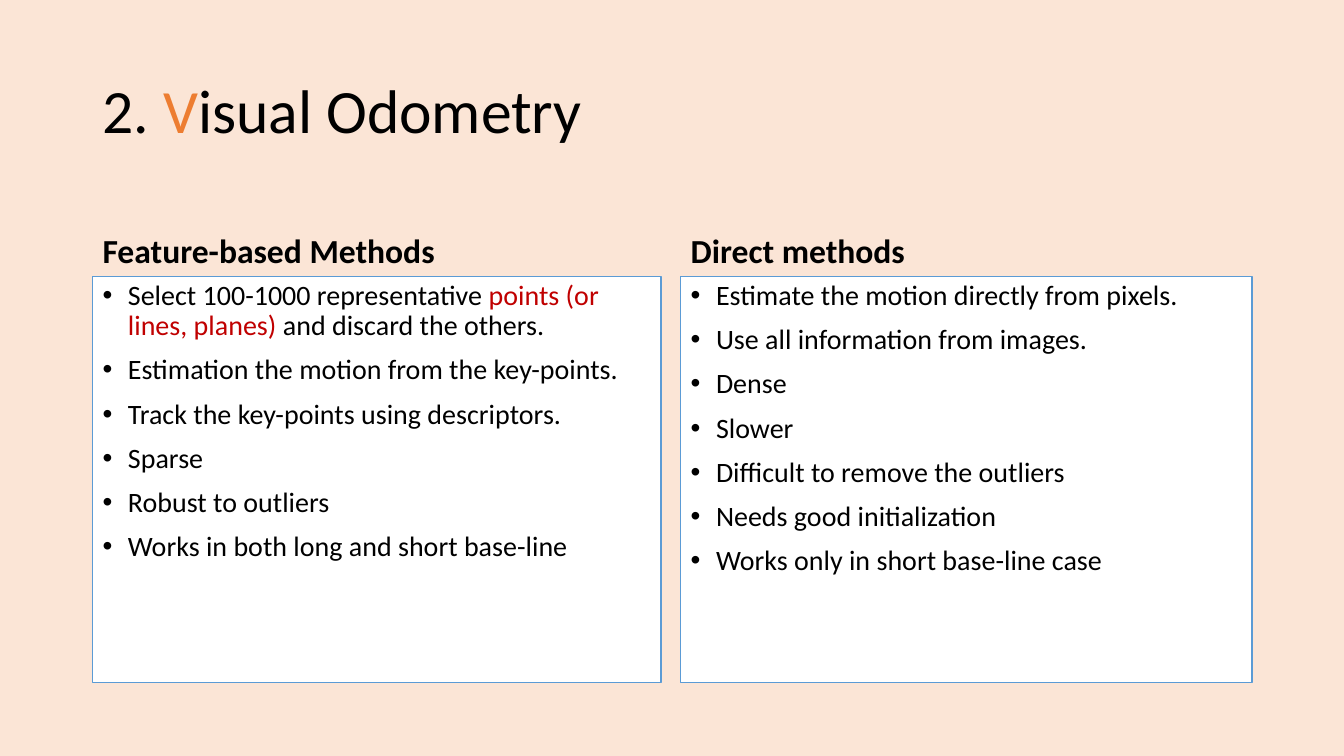
from lxml.etree import SubElement
from pptx import Presentation
from pptx.dml.color import RGBColor as Rgb
from pptx.enum.text import MSO_ANCHOR as Anchor, MSO_AUTO_SIZE as Fit, PP_ALIGN as Align
from pptx.oxml.ns import qn
from pptx.util import Cm, Pt

BLACK, ORANGE, RED = "000000", "ED7D31", "C00000"
LEFT, TOP, HEAD, BODY = 2.33, 4.67, 2.29, 10.24

SIDES = [
    (LEFT, 14.33, "Feature-based Methods", [
        [("Select 100-1000 representative ", BLACK),
         ("points (or lines, planes)", RED),
         (" and discard the others.", BLACK)],
        [("Estimation the motion from the key-points.", BLACK)],
        [("Track the key-points using descriptors.", BLACK)],
        [("Sparse", BLACK)],
        [("Robust to outliers", BLACK)],
        [("Works in both long and short base-line", BLACK)],
    ]),
    (17.15, 14.4, "Direct methods", [
        [("Estimate the motion directly from pixels.", BLACK)],
        [("Use all information from images.", BLACK)],
        [("Dense", BLACK)],
        [("Slower", BLACK)],
        [("Difficult to remove the outliers", BLACK)],
        [("Needs good initialization", BLACK)],
        [("Works only in short base-line case", BLACK)],
    ]),
]


def paint(target, color):
    """Give a fill a solid hex colour."""
    target.solid()
    target.fore_color.rgb = Rgb.from_string(color)


def place(shape, left, top, width, height):
    """Move and size a shape, with lengths in centimetres."""
    shape.left, shape.top = Cm(left), Cm(top)
    shape.width, shape.height = Cm(width), Cm(height)


def bullet(para):
    """Hang a round bullet in front of a paragraph."""
    props = para._p.get_or_add_pPr()
    props.set("marL", str(Cm(0.64)))
    props.set("indent", str(-Cm(0.64)))
    SubElement(props, qn("a:buFont")).set("typeface", "Arial")
    SubElement(props, qn("a:buChar")).set("char", "•")


def write(shape, lines, size, anchor, bold=False, listed=False):
    """Fill a placeholder with lines made of coloured runs."""
    frame = shape.text_frame
    frame.word_wrap = True
    frame.auto_size = Fit.NONE
    frame.vertical_anchor = anchor
    for i, line in enumerate(lines):
        para = frame.add_paragraph() if i else frame.paragraphs[0]
        if listed:
            bullet(para)
        para.alignment = Align.LEFT
        para.line_spacing = 0.9
        para.space_before = Pt(10 if i else 0)
        for text, color in line:
            run = para.add_run()
            run.text = text
            run.font.name, run.font.size, run.font.bold = "Calibri", Pt(size), bold
            paint(run.font.fill, color)


def side(head, body, left, width, name, lines):
    """Build one heading with its framed list below."""
    place(head, left, TOP, width, HEAD)
    write(head, [[(name, BLACK)]], 24, Anchor.BOTTOM, bold=True)
    place(body, left, TOP + HEAD, width, BODY)
    paint(body.fill, "FFFFFF")
    paint(body.line.fill, "5B9BD5")
    body.line.width = Pt(1)
    write(body, lines, 20, Anchor.TOP, listed=True)


def main():
    """Build the slide and save it."""
    deck = Presentation()
    deck.slide_width, deck.slide_height = Cm(33.87), Cm(19.05)
    slide = deck.slides.add_slide(deck.slide_layouts[4])
    paint(slide.background.fill, "FBE5D6")
    title, *parts = slide.placeholders
    place(title, LEFT, 1.02, 29.21, 3.68)
    write(title, [[("2. ", BLACK), ("V", ORANGE), ("isual Odometry", BLACK)]],
          44, Anchor.MIDDLE)
    for head, body, data in zip(parts[::2], parts[1::2], SIDES):
        side(head, body, *data)
    deck.save("out.pptx")


if __name__ == "__main__":
    main()
